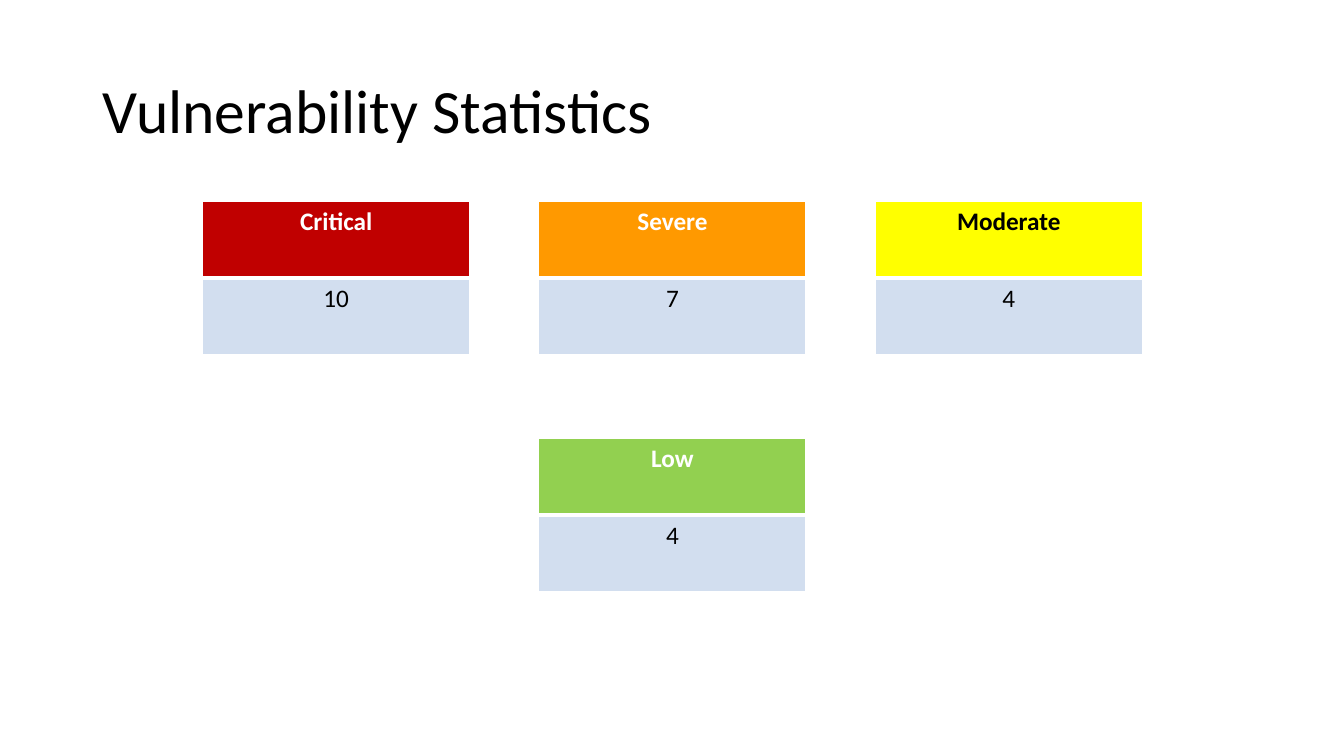
from lxml.etree import SubElement
from pptx import Presentation
from pptx.dml.color import RGBColor
from pptx.enum.text import MSO_ANCHOR as Anchor, PP_ALIGN as Align
from pptx.oxml.ns import qn
from pptx.util import Inches, Pt

COLORS = {
    "white": "FFFFFF", "black": "000000", "value": "D2DEEF",
    "critical": "C00000", "severe": "FF9900", "moderate": "FFFF00", "low": "92D050",
}
CARD_W, ROW_H = 2.65, 0.76
LEFT, TOP = 2.01, 2
STEP_X, STEP_Y = 3.335, 2.35

# severity, count, header text colour, grid column, grid row
CARDS = [
    ("Critical", 10, "white", 0, 0),
    ("Severe", 7, "white", 1, 0),
    ("Moderate", 4, "black", 2, 0),
    ("Low", 4, "white", 1, 1),
]


def rgb(name):
    return RGBColor.from_string(COLORS[name])


class SlideBuilder:
    def __init__(self, slide, font="Calibri"):
        self.slide = slide
        self.font = font

    def add_text(self, p, text, size, color, bold=False):
        r = p.add_run()
        r.text = text
        style = {"name": self.font, "size": Pt(size), "bold": bold}
        for key, value in style.items():
            setattr(r.font, key, value)
        r.font.color.rgb = rgb(color)

    def title(self, text, left, top, width, height):
        s = self.slide.shapes.add_textbox(*map(Inches, (left, top, width, height)))
        tf = s.text_frame
        tf.word_wrap = True
        tf.vertical_anchor = Anchor.MIDDLE
        p = tf.paragraphs[0]
        p.line_spacing = 0.9
        self.add_text(p, text, 44, "black")

    def borders(self, cell, **widths):
        """Draw white cell borders, with widths in points by side."""
        tc_pr = cell._tc.get_or_add_tcPr()
        for side, width in widths.items():
            ln = SubElement(tc_pr, qn(f"a:ln{side}"), w=str(Pt(width)))
            fill = SubElement(ln, qn("a:solidFill"))
            SubElement(fill, qn("a:srgbClr"), val=COLORS["white"])

    def card(self, severity, count, header_color, left, top):
        """Add a two-row table: severity over its count."""
        box = map(Inches, (left, top, CARD_W, 2 * ROW_H))
        table = self.slide.shapes.add_table(2, 1, *box).table
        rows = [
            (severity, severity.lower(), header_color, True, {"T": 1, "B": 3}),
            (str(count), "value", "black", False, {"T": 3, "B": 1}),
        ]
        for i, (text, fill, color, bold, edges) in enumerate(rows):
            cell = table.cell(i, 0)
            self.borders(cell, L=1, R=1, **edges)
            cell.fill.solid()
            cell.fill.fore_color.rgb = rgb(fill)
            p = cell.text_frame.paragraphs[0]
            p.alignment = Align.CENTER
            self.add_text(p, text, 18, color, bold)


def main():
    prs = Presentation()
    prs.slide_width, prs.slide_height = Inches(13.33), Inches(7.5)
    builder = SlideBuilder(prs.slides.add_slide(prs.slide_layouts[6]))
    builder.title("Vulnerability Statistics", 0.92, 0.4, 11.5, 1.45)
    for severity, count, color, col, row in CARDS:
        builder.card(severity, count, color, LEFT + col * STEP_X, TOP + row * STEP_Y)
    prs.save("out.pptx")


if __name__ == "__main__":
    main()
